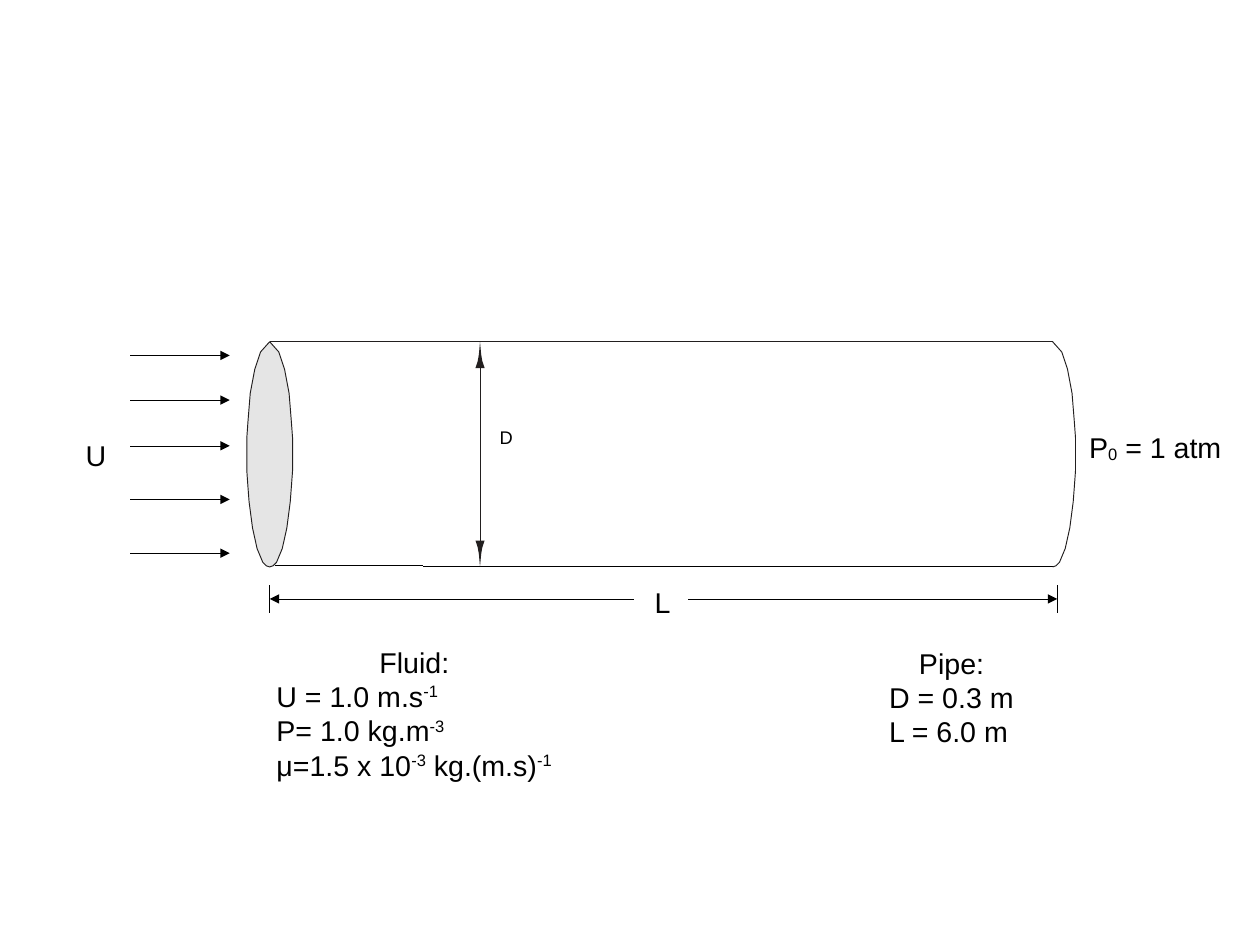
from pptx import Presentation
from pptx.dml.color import RGBColor as Rgb
from pptx.enum.shapes import MSO_CONNECTOR as Conn
from pptx.enum.text import MSO_ANCHOR as Anchor, MSO_AUTO_SIZE as Fit, PP_ALIGN as Align
from pptx.oxml.ns import qn
from pptx.util import Cm, Inches, Pt
from lxml.etree import SubElement as Sub

# Content: a run is (text, baseline shift in percent)
FLUID = [
    [("Fluid:", 0)],
    [("U = 1.0 m.s", 0), ("-1", 33)],
    [("Ρ= 1.0 kg.m", 0), ("-3", 33)],
    [("μ=1.5 x 10", 0), ("-3", 33), (" kg.(m.s)", 0), ("-1", 33)],
]
PIPE = [[("Pipe:", 0)], [("D = 0.3 m", 0)], [("L = 6.0 m", 0)]]
OUTLET = [[("P", 0), ("0", -8), (" = 1 atm", 0)]]

# Grid of one-inch columns and rows
LEFT, RIGHT, TOP, BASE = 2.36, 9.21, 2.99, 4.96
FLOW = [3.11, 3.5, 3.9, 4.37, 4.84]
FLOW_X = (1.14, 2.01)
DIM_Y, DIM_END, TICK = 5.24, 9.25, 0.12
GAP = (5.55, 6.02)
DIAM_X = 4.2
INK, BLACK, GREY = "221F1F", "000000", "E5E5E5"

# Half rim: distance from the axis, distance below the top
RIM = [(0, 0), (.08, .09), (.13, .24), (.17, .45), (.19, .7), (.2, .84),
       (.2, 1.13), (.19, 1.27), (.18, 1.4), (.15, 1.63), (.11, 1.81),
       (.06, 1.93), (.03, 1.96), (0, 1.97)]
# Half arrowhead, from tip to barb
HEAD = [(0, 0), (.01, .11), (.02, .17), (.04, .23)]

deck = Presentation()
deck.slide_width, deck.slide_height = Cm(28), Cm(21)
slide = deck.slides.add_slide(deck.slide_layouts[6])
shapes = slide.shapes


def color(code):
    return Rgb.from_string(code)


def rule(x1, y1, x2, y2, tint=BLACK, width=0, head=False, tail=False):
    line = shapes.add_connector(Conn.STRAIGHT, *map(Inches, (x1, y1, x2, y2)))
    line.line.color.rgb = color(tint)
    stroke = line.line._get_or_add_ln()
    stroke.set("w", str(int(Pt(width))))  # a hairline needs an explicit zero
    for tag, used in (("a:headEnd", head), ("a:tailEnd", tail)):
        if used:
            Sub(stroke, qn(tag), type="triangle")
    Sub(line._element.spPr, qn("a:effectLst"))


def outline(dots, close=False, fill=None, edge=None):
    dots = [(Inches(x), Inches(y)) for x, y in dots]
    form = shapes.build_freeform(*dots[0])
    form.add_line_segments(dots[1:], close=close)
    shape = form.convert_to_shape()
    shape.shadow.inherit = False
    if fill:
        shape.fill.solid()
        shape.fill.fore_color.rgb = color(fill)
    else:
        shape.fill.background()
    if edge:
        shape.line.color.rgb = color(edge)
        shape.line.width = Pt(0.6)
    else:
        shape.line.fill.background()


def curve(half, x, y, side=1, down=1):
    return [(x + side * dx, y + down * dy) for dx, dy in half]


def write(lines, x, y, w, h, size=18, pad=(.1, .05), titled=False):
    box = shapes.add_textbox(*map(Inches, (x, y, w, h)))
    frame = box.text_frame
    frame.word_wrap = False
    frame.auto_size = Fit.SHAPE_TO_FIT_TEXT
    frame.vertical_anchor = Anchor.TOP
    frame.margin_left = frame.margin_right = Inches(pad[0])
    frame.margin_top = frame.margin_bottom = Inches(pad[1])
    for row, runs in enumerate(lines):
        para = frame.add_paragraph() if row else frame.paragraphs[0]
        para.alignment = Align.CENTER if titled and row == 0 else Align.LEFT
        for text, shift in runs:
            run = para.add_run()
            run.text = text
            run.font.name, run.font.size = "Arial", Pt(size)
            run.font.color.rgb = color(BLACK)
            if shift:
                run.font._element.set("baseline", str(shift * 1000))


# Pipe wall, outlet rim and inlet face
rule(LEFT, TOP, RIGHT, TOP, INK, 0.6)
rule(LEFT + .05, BASE - .01, RIGHT, BASE)
outline(curve(RIM, RIGHT, TOP), edge=INK)
face = curve(RIM, LEFT, TOP) + curve(RIM, LEFT, TOP, side=-1)[-2:0:-1]
outline(face, close=True, fill=GREY, edge=INK)

# Diameter arrow
rule(DIAM_X, TOP + .18, DIAM_X, BASE - .18, INK, 0.6)
for tip, down in ((TOP, 1), (BASE, -1)):
    barbs = curve(HEAD, DIAM_X, tip, 1, down)
    barbs += curve(HEAD, DIAM_X, tip, -1, down)[:0:-1]
    outline(barbs, close=True, fill=INK)
write([[("D", 0)]], 4.37, 3.73, .12, .18, size=11.5, pad=(0, 0))

# Inflow arrows
for y in FLOW:
    rule(FLOW_X[0], y, FLOW_X[1], y, tail=True)
write([[("U", 0)]], .65, 3.78, .38, .38)

# Length dimension
rule(LEFT, DIM_Y, GAP[0], DIM_Y, head=True)
rule(GAP[1], DIM_Y, DIM_END, DIM_Y, tail=True)
for x in (LEFT, DIM_END):
    rule(x, DIM_Y - TICK, x, DIM_Y + TICK)
write([[("L", 0)]], 5.63, 5.07, .34, .38)

# Conditions
write(FLUID, 2.32, 5.59, 2.61, 1.25, titled=True)
write(OUTLET, 9.43, 3.71, 1.36, .46)
write(PIPE, 7.68, 5.6, 1.29, .94, titled=True)

deck.save("out.pptx")
